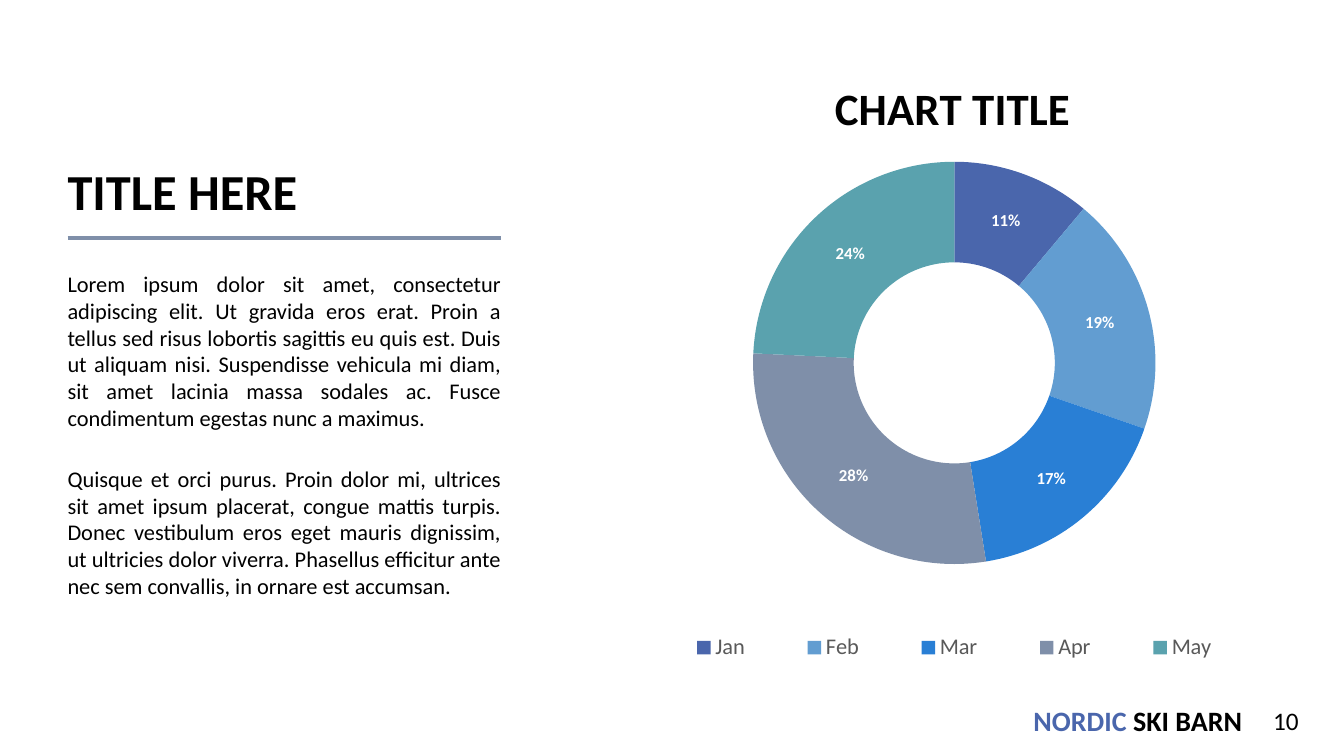
"""Build a slide with a text column and a doughnut chart of five months."""
from lxml.etree import SubElement
from pptx import Presentation
from pptx.chart.data import CategoryChartData
from pptx.dml.color import RGBColor
from pptx.enum.chart import XL_CHART_TYPE, XL_LEGEND_POSITION
from pptx.enum.shapes import MSO_CONNECTOR
from pptx.enum.text import MSO_ANCHOR, PP_ALIGN
from pptx.oxml import parse_xml
from pptx.oxml.ns import nsdecls, qn
from pptx.util import Inches, Pt

FONT = "Calibri"
BLACK = RGBColor(0x00, 0x00, 0x00)
WHITE = RGBColor(0xFF, 0xFF, 0xFF)
GREY = RGBColor(0x59, 0x59, 0x59)
NAVY = RGBColor(0x4A, 0x66, 0xAC)
SKY = RGBColor(0x62, 0x9D, 0xD1)
BLUE = RGBColor(0x29, 0x7F, 0xD5)
SLATE = RGBColor(0x7F, 0x8F, 0xA9)
TEAL = RGBColor(0x5A, 0xA2, 0xAE)

TITLE = "TITLE HERE"
BODY = [
    "Lorem ipsum dolor sit amet, consectetur adipiscing elit. Ut gravida eros erat. "
    "Proin a tellus sed risus lobortis sagittis eu quis est. Duis ut aliquam nisi. "
    "Suspendisse vehicula mi diam, sit amet lacinia massa sodales ac. "
    "Fusce condimentum egestas nunc a maximus.",
    "Quisque et orci purus. Proin dolor mi, ultrices sit amet ipsum placerat, congue "
    "mattis turpis. Donec vestibulum eros eget mauris dignissim, ut ultricies dolor "
    "viverra. Phasellus efficitur ante nec sem convallis, in ornare est accumsan.",
]
HEAD = "CHART TITLE"
MONTHS = [("Jan", 11, NAVY), ("Feb", 19, SKY), ("Mar", 17, BLUE),
          ("Apr", 28, SLATE), ("May", 24, TEAL)]
BRAND = [("NORDIC", NAVY), (" SKI BARN", BLACK)]
PAGE = "10"
LEFT, WIDE = 0.67, 4.3


def style(font, size, color, bold=False):
    font.name, font.size, font.bold = FONT, Pt(size), bold
    font.color.rgb = color


def add_text(slide, box, paras, size, bold=False, align=PP_ALIGN.LEFT,
             anchor=MSO_ANCHOR.TOP, pad=(0, 0.05), line=None, before=0):
    frame = slide.shapes.add_textbox(*map(Inches, box)).text_frame
    frame.word_wrap, frame.vertical_anchor = True, anchor
    frame.margin_left = frame.margin_right = Inches(pad[0])
    frame.margin_top = frame.margin_bottom = Inches(pad[1])
    for i, runs in enumerate(paras):
        para = frame.add_paragraph() if i else frame.paragraphs[0]
        para.alignment, para.line_spacing = align, line
        para.space_before = Pt(before)
        for text, color in runs:
            run = para.add_run()
            run.text = text
            style(run.font, size, color, bold)


def add_rule(slide, top):
    rule = slide.shapes.add_connector(
        MSO_CONNECTOR.STRAIGHT, *map(Inches, (LEFT, top, LEFT + WIDE, top)))
    rule.line.color.rgb, rule.line.width = SLATE, Pt(3)
    SubElement(rule._element.spPr, qn("a:effectLst"))


def place(part, inner=False, **spots):
    for old in part.findall(qn("c:layout")):
        part.remove(old)
    target = '<c:layoutTarget val="inner"/>' if inner else ""
    modes = "".join(f'<c:{k}Mode val="edge"/>' for k in "xy")
    sizes = "".join(f'<c:{k} val="{v}"/>' for k, v in spots.items())
    layout = parse_xml(f'<c:layout {nsdecls("c")}><c:manualLayout>{target}{modes}'
                       f'{sizes}</c:manualLayout></c:layout>')
    ahead = [c for c in part if c.tag in (qn("c:tx"), qn("c:legendPos"))]
    part.insert(len(ahead), layout)


def add_ring(slide, box):
    data = CategoryChartData()
    data.categories = [name for name, _, _ in MONTHS]
    data.add_series("Series 1", [value for _, value, _ in MONTHS])
    chart = slide.shapes.add_chart(
        XL_CHART_TYPE.DOUGHNUT, *map(Inches, box), data).chart
    style(chart.font, 10, BLACK)

    chart.has_title = True
    run = chart.chart_title.text_frame.paragraphs[0].add_run()
    run.text = HEAD
    style(run.font, 32, BLACK, True)
    chart.chart_title.include_in_layout = False

    chart.has_legend = True
    chart.legend.position = XL_LEGEND_POSITION.BOTTOM
    chart.legend.include_in_layout = False
    style(chart.legend.font, 16, GREY)

    plot = chart.plots[0]
    plot.vary_by_categories = True
    plot._element.find(qn("c:holeSize")).set("val", "70")
    for i, (_, _, color) in enumerate(MONTHS):
        fill = plot.series[0].points[i].format.fill
        fill.solid()
        fill.fore_color.rgb = color
    plot.has_data_labels = True
    labels = plot.data_labels
    labels.show_percentage, labels.show_value = True, False
    labels.number_format, labels.number_format_is_linked = "0%", False
    style(labels.font, 12, WHITE, True)

    area = chart._chartSpace.chart
    place(area.find(qn("c:title")), x=0.3, y=0.03)
    place(area.plotArea, True, x=0.09, y=0.18, w=0.82, h=0.65)
    place(area.find(qn("c:legend")), x=0.01, y=0.93, w=0.98, h=0.07)


def main():
    deck = Presentation()
    deck.slide_width, deck.slide_height = Inches(13.33), Inches(7.5)
    slide = deck.slides.add_slide(deck.slide_layouts[6])
    add_text(slide, (10.23, 6.96, 2.18, 0.38), [BRAND], 20, True,
             anchor=MSO_ANCHOR.MIDDLE, pad=(0.02, 0.02))
    add_rule(slide, 2.36)
    add_text(slide, (LEFT, 0.5, WIDE, 1.75), [[(TITLE, BLACK)]], 36, True,
             anchor=MSO_ANCHOR.BOTTOM, line=0.9)
    add_text(slide, (LEFT, 2.63, WIDE, 4), [[(text, BLACK)] for text in BODY], 16,
             align=PP_ALIGN.JUSTIFY, before=24)
    add_ring(slide, (6.3, 0.5, 6.33, 6.14))
    add_text(slide, (9.98, 6.95, 3, 0.4), [[(PAGE, BLACK)]], 18,
             align=PP_ALIGN.RIGHT, pad=(0.1, 0.05))
    deck.save("out.pptx")


if __name__ == "__main__":
    main()
